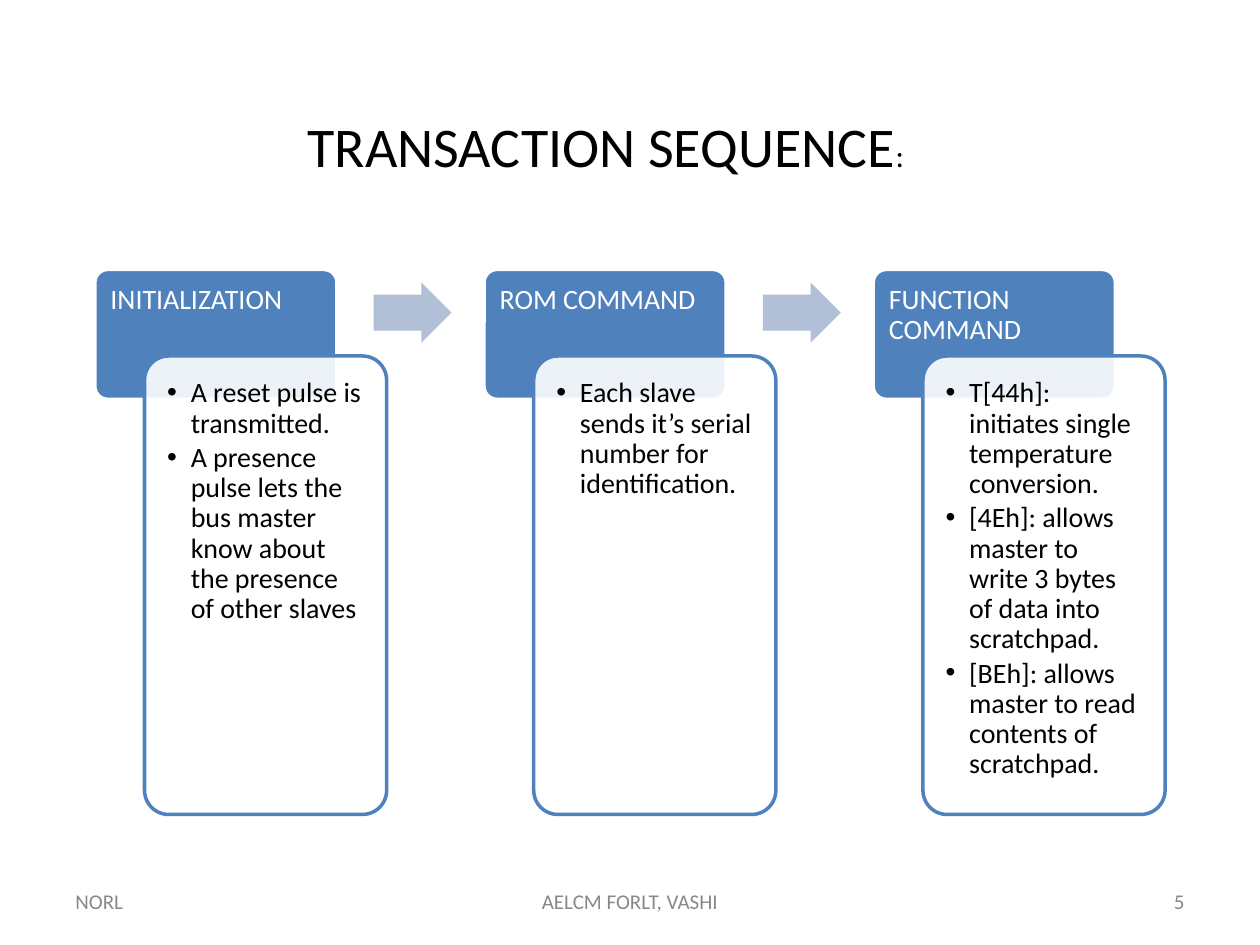
from dataclasses import dataclass

from lxml import etree
from pptx import Presentation
from pptx.dml.color import RGBColor
from pptx.enum.shapes import MSO_SHAPE
from pptx.enum.text import MSO_ANCHOR, PP_ALIGN
from pptx.oxml.ns import qn
from pptx.util import Pt

ROUNDED = MSO_SHAPE.ROUNDED_RECTANGLE
ARROW = MSO_SHAPE.RIGHT_ARROW
TOP, MIDDLE = MSO_ANCHOR.TOP, MSO_ANCHOR.MIDDLE
LEFT, CENTER, RIGHT = PP_ALIGN.LEFT, PP_ALIGN.CENTER, PP_ALIGN.RIGHT


@dataclass(frozen=True)
class Theme:
    font: str = "Calibri"
    blue: str = "4F81BD"
    arrow: str = "B1C0D7"
    white: str = "FFFFFF"
    black: str = "000000"
    gray: str = "888888"
    title_size: int = 32
    colon_size: int = 18
    step_size: int = 16
    footer_size: int = 12
    line_width: int = 2


THEME = Theme()
BLANK_LAYOUT = 6
FIRST_STEP_LEFT, STEP_PITCH = 54.2, 222.4
HEADING_TOP, BODY_TOP = 154, 203.4
STEP_WIDTH = 138.4
BODY_SHIFT, BODY_INSET = 28.4, 4
BULLET_INDENT = 13.5
STEPS = [
    ("INITIALIZATION", [
        "A reset pulse is transmitted.",
        "A presence pulse lets the bus master know about the presence of other slaves",
    ]),
    ("ROM COMMAND", [
        "Each slave sends it’s serial number for identification.",
    ]),
    ("FUNCTION COMMAND", [
        "T[44h]: initiates single temperature conversion.",
        "[4Eh]: allows master to write 3 bytes of data into scratchpad.",
        "[BEh]: allows master to read contents of scratchpad.",
    ]),
]
FOOTERS = [
    ("NORL", 36, 168, LEFT),
    ("AELCM FORLT, VASHI", 246, 228, CENTER),
    ("5", 516, 168, RIGHT),
]


def apply_format(target, values):
    for name, value in values.items():
        setattr(target, name, value)


def add_block(slide, preset, box, fill, adjustments, line=None, opacity=None):
    shape = slide.shapes.add_shape(preset, *map(Pt, box))
    shape.shadow.inherit = False
    for index, value in enumerate(adjustments):
        shape.adjustments[index] = value
    shape.fill.solid()
    shape.fill.fore_color.rgb = RGBColor.from_string(fill)
    if opacity is not None:
        color = shape.fill._xPr.find(f"{qn('a:solidFill')}/{qn('a:srgbClr')}")
        etree.SubElement(color, qn("a:alpha"), val=str(opacity * 1000))
    if line:
        shape.line.color.rgb = RGBColor.from_string(line)
        shape.line.width = Pt(THEME.line_width)
    else:
        shape.line.fill.background()


def add_text_frame(slide, box, insets, anchor=TOP):
    frame = slide.shapes.add_textbox(*map(Pt, box)).text_frame
    left, top, right, bottom = map(Pt, insets)
    apply_format(frame, {
        "word_wrap": True, "vertical_anchor": anchor,
        "margin_left": left, "margin_top": top,
        "margin_right": right, "margin_bottom": bottom,
    })
    return frame


def add_run(paragraph, text, size, color):
    run = paragraph.add_run()
    run.text = text
    apply_format(run.font, {"name": THEME.font, "size": Pt(size)})
    run.font.color.rgb = RGBColor.from_string(color)


def add_bullet(paragraph):
    properties = paragraph._p.get_or_add_pPr()
    properties.set("marL", str(Pt(BULLET_INDENT)))
    properties.set("indent", str(-Pt(BULLET_INDENT)))
    color = etree.SubElement(properties, qn("a:buClr"))
    etree.SubElement(color, qn("a:srgbClr"), val=THEME.black)
    etree.SubElement(properties, qn("a:buFont"), typeface="Arial")
    etree.SubElement(properties, qn("a:buChar"), char="•")


def add_heading(slide, left, text):
    add_block(slide, ROUNDED, (left, HEADING_TOP, STEP_WIDTH, 74.2),
              THEME.blue, [0.1], line=THEME.white)
    frame = add_text_frame(slide, (left, HEADING_TOP, STEP_WIDTH, 49.4), (8.96, 8.96, 8.96, 4.8))
    paragraph = frame.paragraphs[0]
    paragraph.line_spacing = 0.9
    add_run(paragraph, text, THEME.step_size, THEME.white)


def add_body(slide, left, bullets):
    height = 262
    add_block(slide, ROUNDED, (left, BODY_TOP, STEP_WIDTH, height),
              THEME.white, [0.1], line=THEME.blue, opacity=90)
    text_box = (left + BODY_INSET, BODY_TOP + BODY_INSET,
                STEP_WIDTH - 2 * BODY_INSET, height - 2 * BODY_INSET)
    frame = add_text_frame(slide, text_box, [8.96] * 4)
    for index, text in enumerate(bullets):
        paragraph = frame.add_paragraph() if index else frame.paragraphs[0]
        apply_format(paragraph, {
            "level": 1, "line_spacing": 0.9, "space_before": Pt(2.4 if index else 0),
        })
        add_bullet(paragraph)
        add_run(paragraph, text, THEME.step_size, THEME.black)


def add_arrow(slide, left):
    add_block(slide, ARROW, (left, 161.4, 44.5, 34.5), THEME.arrow, [0.6, 0.5])


def add_label(slide, box, runs, color, alignment, anchor=TOP):
    paragraph = add_text_frame(slide, box, (7.2, 3.6, 7.2, 3.6), anchor).paragraphs[0]
    paragraph.alignment = alignment
    for text, size in runs:
        add_run(paragraph, text, size, color)


def main():
    presentation = Presentation()
    apply_format(presentation, {"slide_width": Pt(720), "slide_height": Pt(540)})
    slide = presentation.slides.add_slide(presentation.slide_layouts[BLANK_LAYOUT])
    for index, (heading, bullets) in enumerate(STEPS):
        left = FIRST_STEP_LEFT + index * STEP_PITCH
        add_heading(slide, left, heading)
        add_body(slide, left + BODY_SHIFT, bullets)
        if index < len(STEPS) - 1:
            add_arrow(slide, left + 159.4)
    title_runs = [("TRANSACTION SEQUENCE", THEME.title_size), (":", THEME.colon_size)]
    add_label(slide, (154.6, 60, 383, 29), title_runs, THEME.black, CENTER)
    for text, left, width, alignment in FOOTERS:
        add_label(slide, (left, 500.5, width, 28.75), [(text, THEME.footer_size)],
                  THEME.gray, alignment, MIDDLE)
    presentation.save("out.pptx")


if __name__ == "__main__":
    main()
